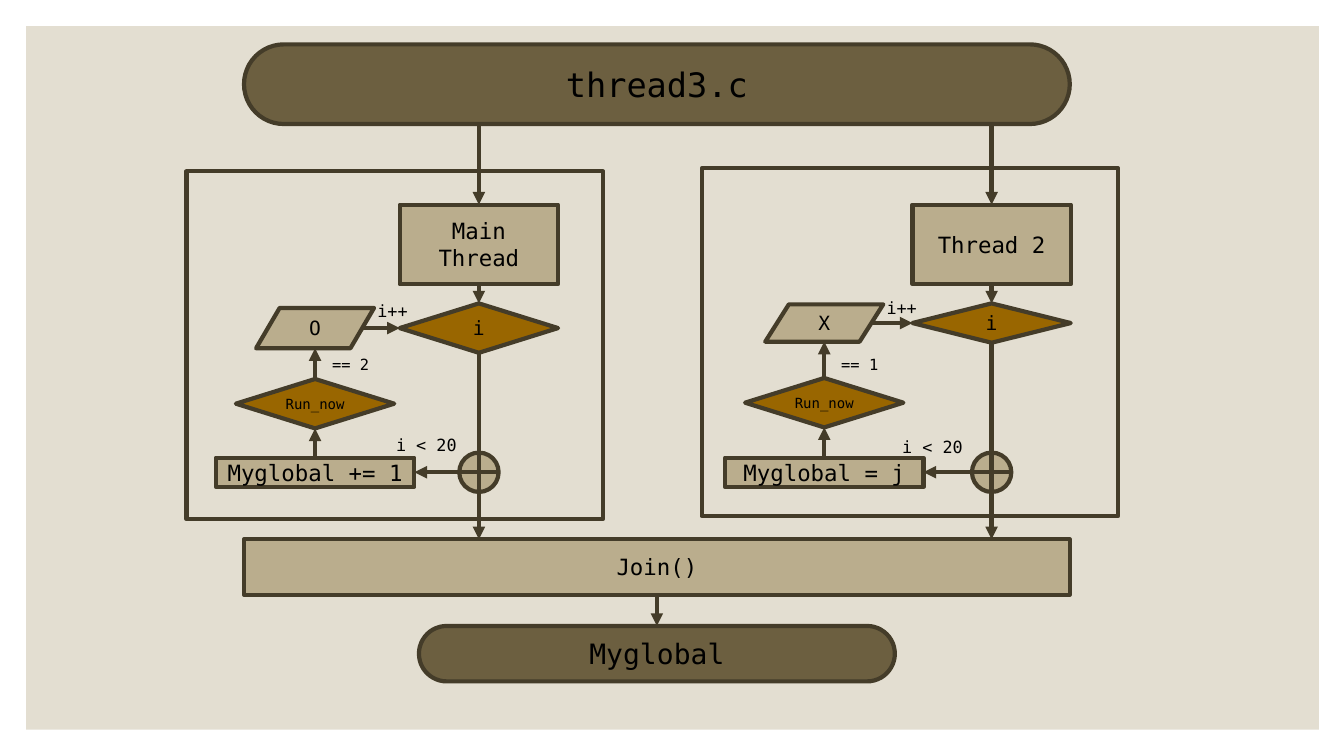
from pptx import Presentation
from pptx.dml.color import RGBColor
from pptx.enum.shapes import MSO_CONNECTOR, MSO_SHAPE
from pptx.enum.text import MSO_ANCHOR, PP_ALIGN
from pptx.oxml.ns import qn
from pptx.util import Inches, Pt
from lxml import etree

PANEL = RGBColor(0xE3, 0xDE, 0xD1)
DARK = RGBColor(0x6C, 0x5F, 0x40)
LIGHT = RGBColor(0xBA, 0xAD, 0x8D)
ORANGE = RGBColor(0x99, 0x66, 0x00)
LINE = RGBColor(0x44, 0x3C, 0x29)
BLACK = RGBColor(0, 0, 0)

RECT = MSO_SHAPE.RECTANGLE
PILL = MSO_SHAPE.ROUNDED_RECTANGLE
DIAMOND = MSO_SHAPE.DIAMOND
DATA = MSO_SHAPE.FLOWCHART_DATA
OR = MSO_SHAPE.FLOWCHART_OR
STRAIGHT = MSO_CONNECTOR.STRAIGHT
CENTER, LEFT = PP_ALIGN.CENTER, PP_ALIGN.LEFT
MIDDLE = MSO_ANCHOR.MIDDLE
TOP_SIDE, LEFT_SIDE, BOTTOM_SIDE, RIGHT_SIDE = range(4)

FONT = "DejaVu Sans Mono"
LINE_WIDTH = Pt(3)
CELL = Inches(0.1)  # side of one grid column or row
MID = 65.15  # column the chart is centred on
START_BOTTOM, JOIN_TOP = 12.4, 53.5
NODE_W = 15.7


class Flowchart:
    """Draws on one slide; all lengths are in grid columns and rows."""

    def __init__(self, slide):
        self.slide = slide

    def set_text(self, tf, text, size, align):
        tf.text = text
        for p in tf.paragraphs:
            p.alignment = align
            for r in p.runs:
                r.font.name = FONT
                r.font.size = Pt(size)
                r.font.color.rgb = BLACK

    def node(self, kind, center, top, width, height, fill=None, text="", size=16, outline=True):
        """Add a shape centred on a column; no fill leaves it hollow."""
        box = (center - width / 2, top, width, height)
        sp = self.slide.shapes.add_shape(kind, *(round(v * CELL) for v in box))
        sp.shadow.inherit = False
        if kind == PILL:
            sp.adjustments[0] = 0.5
        if fill is None:
            sp.fill.background()
        else:
            sp.fill.solid()
            sp.fill.fore_color.rgb = fill
        if outline:
            sp.line.color.rgb = LINE
            sp.line.width = LINE_WIDTH
        else:
            sp.line.fill.background()
        if text:
            tf = sp.text_frame
            tf.word_wrap = False
            tf.vertical_anchor = MIDDLE
            self.set_text(tf, text, size, CENTER)
        return sp

    def label(self, left, top, text, size=12):
        box = (left, top, 10.4, 3)
        tb = self.slide.shapes.add_textbox(*(round(v * CELL) for v in box))
        tb.text_frame.word_wrap = True
        self.set_text(tb.text_frame, text, size, LEFT)

    def arrow(self, start, end, source=None, target=None):
        """Join two points; source and target are (shape, side) pairs to glue to."""
        points = (round(v * CELL) for v in (*start, *end))
        c = self.slide.shapes.add_connector(STRAIGHT, *points)
        if source:
            c.begin_connect(*source)
        if target:
            c.end_connect(*target)
        c.line.color.rgb = LINE
        c.line.width = LINE_WIDTH
        sp_pr = c._element.spPr
        etree.SubElement(sp_pr.find(qn("a:ln")), qn("a:tailEnd"), type="triangle")
        etree.SubElement(sp_pr, qn("a:effectLst"))

    def thread(self, name, axis, loop, frame, test_h, data_h, mark, run_top, turn, step, limit):
        """One framed thread: the main axis on the right, its loop on the left."""
        frame_left, frame_top = frame
        test_top, step_top = 30.1, 45.4
        test_mid = test_top + test_h / 2
        data_top = test_mid - data_h / 2
        data_bottom = data_top + data_h
        circle_d, circle_mid = 3.9, 46.85
        step_w = 19.7

        self.node(RECT, frame_left + 20.65, frame_top, 41.3, 34.5)
        head = self.node(RECT, axis, 20.3, NODE_W, 7.9, LIGHT, name)
        test = self.node(DIAMOND, axis, test_top, NODE_W, test_h, ORANGE, "i", 14)
        self.node(OR, axis, 44.9, circle_d, circle_d, LIGHT)
        self.node(DATA, loop, data_top, 11.7, data_h, LIGHT, mark, 14)
        run = self.node(DIAMOND, loop, run_top, NODE_W, 4.9, ORANGE, "Run_now", 10)
        add = self.node(RECT, loop, step_top, step_w, 2.9, LIGHT, step)

        self.arrow((axis, START_BOTTOM), (axis, 20.3), target=(head, TOP_SIDE))
        self.arrow((axis, 28.2), (axis, test_top), (head, BOTTOM_SIDE), (test, TOP_SIDE))
        self.arrow((axis, test_top + test_h), (axis, JOIN_TOP), (test, BOTTOM_SIDE))
        self.arrow((axis - circle_d / 2, circle_mid), (loop + step_w / 2, circle_mid),
                   target=(add, RIGHT_SIDE))
        self.arrow((loop, step_top), (loop, run_top + 4.9), (add, TOP_SIDE), (run, BOTTOM_SIDE))
        self.arrow((loop, run_top), (loop, data_bottom), (run, TOP_SIDE))
        self.arrow((loop + 4.68, test_mid), (axis - NODE_W / 2, test_mid),
                   target=(test, LEFT_SIDE))

        self.label(loop + 5.2, data_top - 1.2, "i++")
        self.label(loop + 0.7, 34.75, turn, 11)
        self.label(*limit, "i < 20")


def main():
    prs = Presentation()
    prs.slide_width, prs.slide_height = Inches(13.33), Inches(7.5)
    chart = Flowchart(prs.slides.add_slide(prs.slide_layouts[6]))

    chart.node(RECT, 66.7, 2.6, 128.2, 69.8, PANEL, outline=False)
    chart.node(PILL, MID, 4.4, 81.9, 7.9, DARK, "thread3.c", 24)
    join = chart.node(RECT, MID, JOIN_TOP, 81.9, 5.5, LIGHT, "Join()")
    result = chart.node(PILL, MID, 62.1, 47.2, 5.5, DARK, "Myglobal", 20)
    chart.arrow((MID, 59), (MID, 62.1), (join, BOTTOM_SIDE), (result, TOP_SIDE))

    chart.thread("Main\nThread", axis=47.5, loop=31.25, frame=(18.5, 17), test_h=4.9,
                 data_h=4, mark="O", run_top=37.6, turn="== 2",
                 step="Myglobal += 1", limit=(38.3, 42.6))
    chart.thread("Thread 2", axis=98.35, loop=81.75, frame=(69.6, 16.7), test_h=3.9,
                 data_h=3.7, mark="X", run_top=37.5, turn="== 1",
                 step="Myglobal = j", limit=(88.5, 42.8))
    prs.save("out.pptx")


if __name__ == "__main__":
    main()
